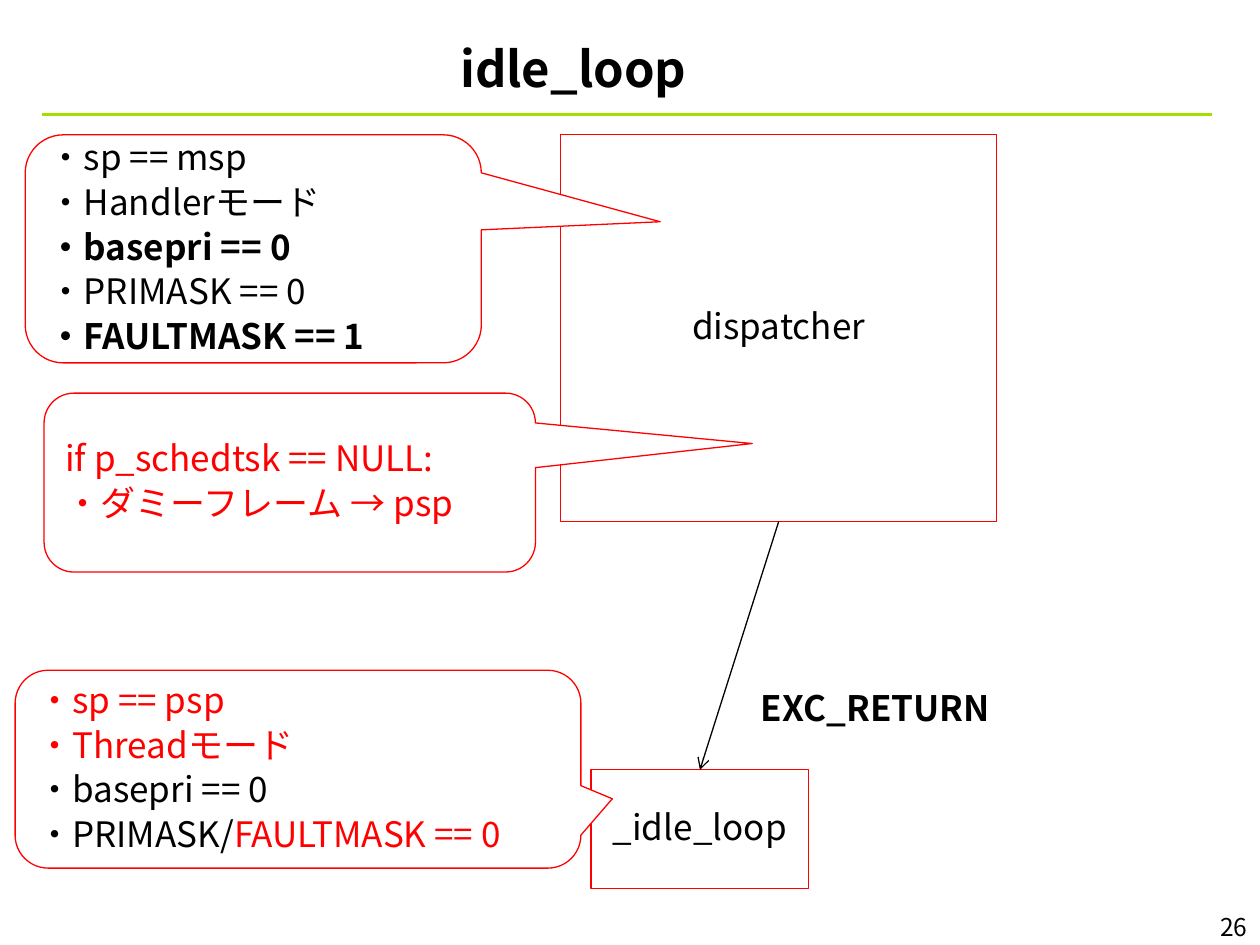
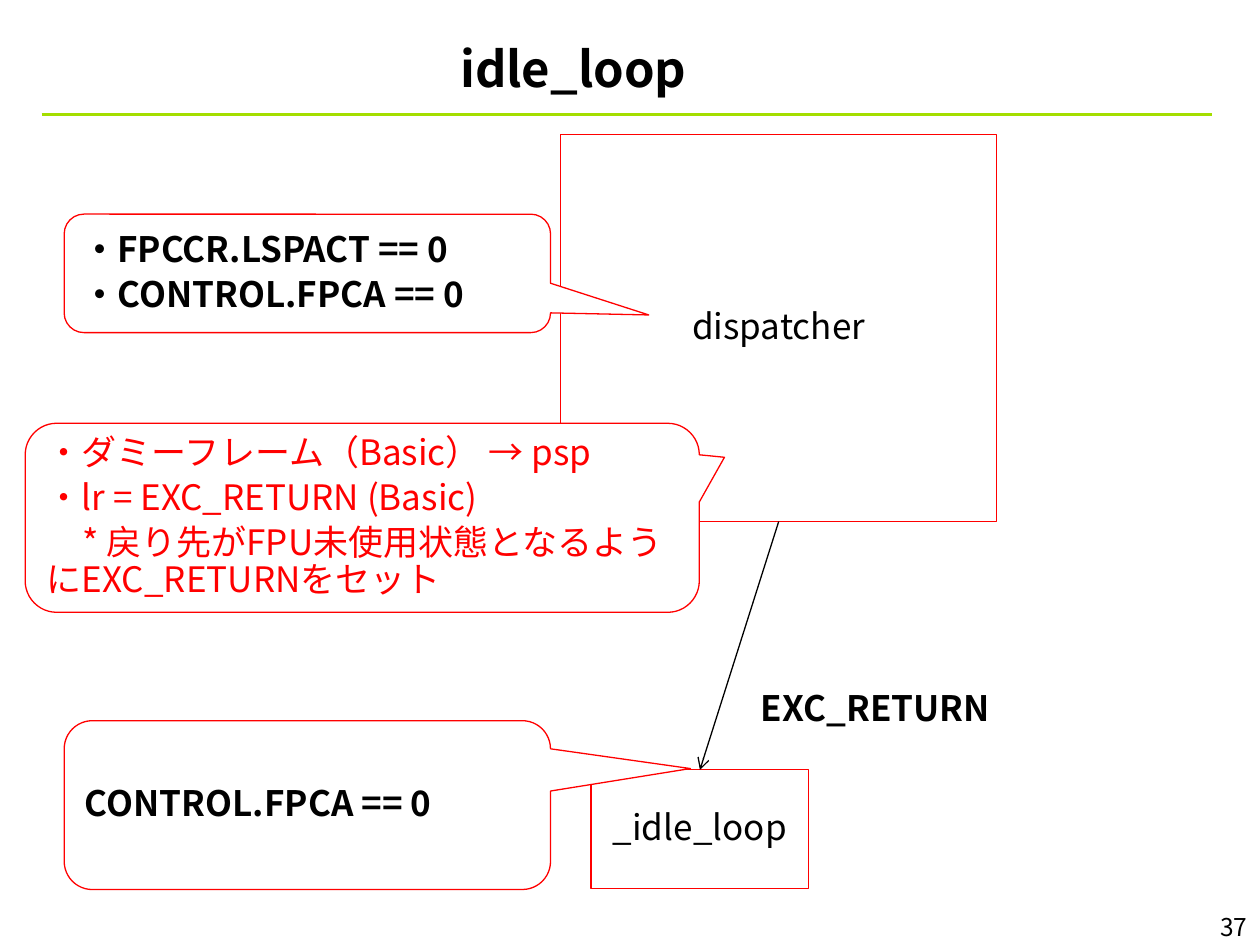
"""Build the two idle_loop slides: dispatcher, EXC_RETURN and register state."""
from dataclasses import dataclass
from typing import NamedTuple

from lxml import etree
from pptx import Presentation
from pptx import util as u
from pptx.dml.color import RGBColor
from pptx.enum import shapes, text
from pptx.oxml import ns

COLORS = {"ink": "000000", "accent": "FF0000", "rule": "A4DE00", "paper": "FFFFFF"}
FONT = "Noto Sans CJK JP"
BODY_SIZE = 20


class Box(NamedTuple):
    left: float
    top: float
    width: float
    height: float

    def inches(self) -> list:
        return [u.Inches(length) for length in self]


class Run(NamedTuple):
    words: str
    color: str = "ink"
    bold: bool = False


@dataclass(frozen=True)
class Line:
    runs: tuple[Run, ...]
    first_indent: float = 0


@dataclass(frozen=True)
class Callout:
    box: Box
    tip: tuple[float, float]
    lines: tuple[Line, ...]


@dataclass(frozen=True)
class Page:
    number: str
    callouts: tuple[Callout, ...]


TITLE = Box(0.23, 0.21, 8.64, 0.55)
PAGE_NUMBER = Box(9.17, 7.19, 0.83, 0.33)
DISPATCHER = Box(4.45, 1.07, 3.46, 3.07)
IDLE_LOOP = Box(4.69, 6.11, 1.73, 0.94)
RETURN_LABEL = Box(5.94, 5.4, 2.28, 0.44)


def line(words: str, color: str = "ink", bold: bool = False, indent: float = 0) -> Line:
    """Return a line made of a single run."""
    return Line((Run(words, color, bold),), indent)


PAGES = (
    Page("26", (
        Callout(Box(0.12, 5.32, 4.49, 1.57), (4.86, 6.34), (
            line("・sp == psp", "accent"),
            line("・Threadモード", "accent"),
            line("・basepri == 0"),
            Line((Run("・PRIMASK/"), Run("FAULTMASK == 0", "accent"))),
        )),
        Callout(Box(0.35, 3.12, 3.9, 1.42), (5.97, 3.52), (
            line("if p_schedtsk == NULL:", "accent"),
            line("・ダミーフレーム → psp", "accent"),
        )),
        Callout(Box(0.2, 1.07, 3.62, 1.81), (5.24, 1.76), (
            line("・sp == msp"),
            line("・Handlerモード"),
            line("・basepri == 0", bold=True),
            line("・PRIMASK == 0"),
            line("・FAULTMASK == 1", bold=True),
        )),
    )),
    Page("37", (
        Callout(Box(0.51, 5.72, 3.86, 1.34), (5.48, 6.1), (
            line("CONTROL.FPCA == 0", bold=True),
        )),
        Callout(Box(0.2, 3.36, 5.35, 1.5), (5.75, 3.63), (
            line("・ダミーフレーム（Basic） → psp", "accent"),
            line("・lr = EXC_RETURN (Basic)", "accent"),
            line("* 戻り先がFPU未使用状態となるようにEXC_RETURNをセット", "accent", indent=0.28),
        )),
        Callout(Box(0.51, 1.7, 3.86, 0.94), (5.15, 2.5), (
            line("・FPCCR.LSPACT == 0", bold=True),
            line("・CONTROL.FPCA == 0", bold=True),
        )),
    )),
)


def rgb(name: str) -> RGBColor:
    """Look up a named colour."""
    return RGBColor.from_string(COLORS[name])


def write(shape, *lines: Line, size: float = BODY_SIZE, align=text.PP_ALIGN.LEFT,
          anchor=text.MSO_ANCHOR.MIDDLE, spacing: float = 0.9, top: float = 0.05) -> None:
    """Fill a shape with formatted lines."""
    frame = shape.text_frame
    frame.word_wrap = True
    frame.vertical_anchor = anchor
    frame.margin_left = frame.margin_right = u.Inches(0.1)
    frame.margin_top, frame.margin_bottom = u.Inches(top), u.Inches(0.05)
    for index, content in enumerate(lines):
        paragraph = frame.add_paragraph() if index else frame.paragraphs[0]
        paragraph.alignment = align
        paragraph.line_spacing = spacing
        if index:
            paragraph.space_before = u.Pt(size * 0.2)
        if content.first_indent:
            properties = paragraph._p.get_or_add_pPr()
            properties.set("marL", "0")
            properties.set("indent", str(u.Inches(content.first_indent)))
        for part in content.runs:
            run = paragraph.add_run()
            run.text = part.words
            run.font.name, run.font.size, run.font.bold = FONT, u.Pt(size), part.bold
            run.font.color.rgb = rgb(part.color)
            latin = run._r.rPr.find(ns.qn("a:latin"))
            east_asian = etree.Element(ns.qn("a:ea"), typeface=FONT)
            latin.addnext(east_asian)


def add_label(slide, box: Box, content: Line, **style) -> None:
    """Add a line of text without an outline."""
    write(slide.shapes.add_textbox(*box.inches()), content, **{"spacing": 1.0, **style})


def add_outlined(slide, kind, box: Box):
    """Add an unfilled shape with a thin accent outline."""
    shape = slide.shapes.add_shape(kind, *box.inches())
    shape.shadow.inherit = False
    shape.fill.background()
    shape.line.color.rgb = rgb("accent")
    shape.line.width = u.Pt(0.75)
    return shape


def add_block(slide, box: Box, name: str):
    """Add a program block with its centred name."""
    block = add_outlined(slide, shapes.MSO_SHAPE.RECTANGLE, box)
    write(block, line(name), align=text.PP_ALIGN.CENTER)
    return block


def add_callout(slide, callout: Callout) -> None:
    """Add a rounded callout whose wedge ends at its tip."""
    box = callout.box
    bubble = add_outlined(slide, shapes.MSO_SHAPE.ROUNDED_RECTANGULAR_CALLOUT, box)
    bubble.fill.solid()
    bubble.fill.fore_color.rgb = rgb("paper")
    bubble.adjustments[0] = (callout.tip[0] - box.left) / box.width - 0.5
    bubble.adjustments[1] = (callout.tip[1] - box.top) / box.height - 0.5
    bubble.adjustments[2] = 1 / 6
    write(bubble, *callout.lines)


def add_line(slide, start: tuple[float, float], end: tuple[float, float],
             color: str, width: float):
    """Add a straight connector without a shadow."""
    connector = slide.shapes.add_connector(
        shapes.MSO_CONNECTOR.STRAIGHT, *(u.Inches(v) for v in (*start, *end)))
    connector.line.color.rgb = rgb(color)
    connector.line.width = u.Pt(width)
    etree.SubElement(connector._element.spPr, ns.qn("a:effectLst"))
    return connector


def add_flow(slide) -> None:
    """Add the dispatcher, the idle loop and the return arrow between them."""
    dispatcher = add_block(slide, DISPATCHER, "dispatcher")
    idle_loop = add_block(slide, IDLE_LOOP, "_idle_loop")
    arrow = add_line(slide, (6.18, 4.14), (5.55, 6.11), "ink", 0.75)
    arrow.begin_connect(dispatcher, 2)
    arrow.end_connect(idle_loop, 0)
    etree.SubElement(arrow.line._get_or_add_ln(), ns.qn("a:tailEnd"), type="arrow")
    add_label(slide, RETURN_LABEL, line("EXC_RETURN", bold=True),
              anchor=text.MSO_ANCHOR.TOP)


def add_page(deck, page: Page) -> None:
    """Add a slide with the shared frame, the flow and its callouts."""
    slide = deck.slides.add_slide(deck.slide_layouts[6])
    add_line(slide, (0.33, 0.91), (9.62, 0.91), "rule", 1.5)
    add_label(slide, PAGE_NUMBER, line(page.number), size=14,
              align=text.PP_ALIGN.RIGHT, anchor=text.MSO_ANCHOR.TOP)
    add_label(slide, TITLE, line("idle_loop", bold=True), size=28,
              align=text.PP_ALIGN.CENTER, top=0.16)
    add_flow(slide)
    for callout in page.callouts:
        add_callout(slide, callout)


def main() -> None:
    """Build and save the deck."""
    deck = Presentation()
    deck.slide_width, deck.slide_height = u.Inches(10), u.Inches(7.5)
    for page in PAGES:
        add_page(deck, page)
    deck.save("out.pptx")


if __name__ == "__main__":
    main()
